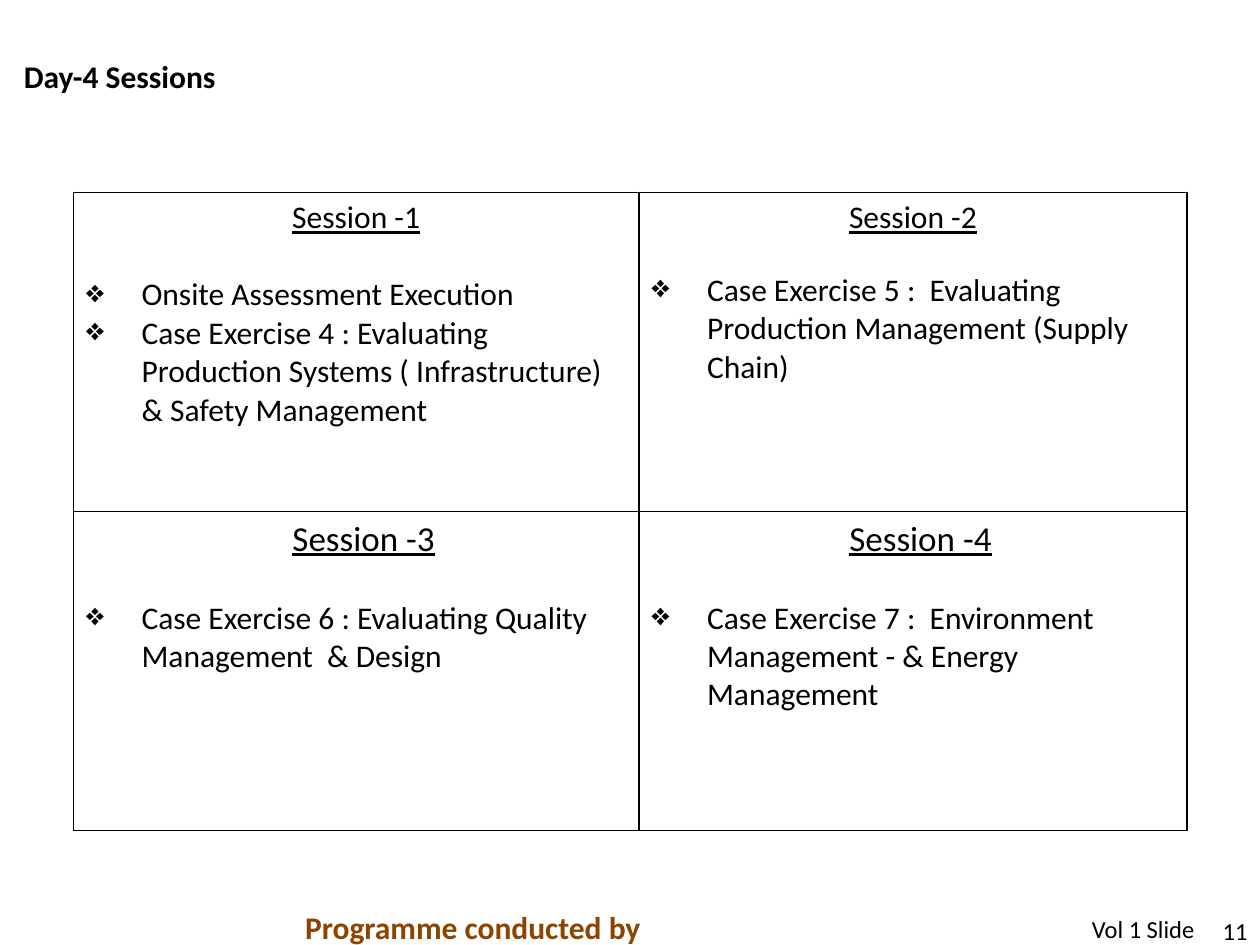
import pptx
import pptx.util
import pptx.dml.color
import pptx.enum.text
import pptx.oxml
import pptx.oxml.ns
from pptx.util import Cm, Pt

COLORS = {"ink": "000000", "brown": "8D4400"}
ALIGN = pptx.enum.text.PP_ALIGN
ANCHOR = pptx.enum.text.MSO_ANCHOR
NAMESPACE = pptx.oxml.ns.nsdecls("a")

SESSIONS = [
    [
        ("Session -1", 22, [
            "Onsite Assessment Execution",
            "Case Exercise 4 : Evaluating Production Systems ( Infrastructure) & Safety Management",
        ]),
        ("Session -2", 19.5, [
            "Case Exercise 5 :  Evaluating Production Management (Supply Chain)",
        ]),
    ],
    [
        ("Session -3", 22, [
            "Case Exercise 6 : Evaluating Quality Management  & Design",
        ]),
        ("Session -4", 22, [
            "Case Exercise 7 :  Environment  Management - & Energy Management",
        ]),
    ],
]
HEADINGS = [{"size": 18, "indent": 0}, {"size": 20, "indent": 0.3}]


def write(para, text, size=18, color="ink", bold=False, underline=False,
          align=ALIGN.LEFT, before=0, indent=0, bullet=None):
    properties = para._p.get_or_add_pPr()
    properties.set("marL", str(Cm(indent)))
    para.alignment = align
    para.space_before = Pt(before)
    if bullet:
        properties.set("indent", str(-Cm(indent)))
        properties.append(pptx.oxml.parse_xml(f'<a:buChar {NAMESPACE} char="{bullet}"/>'))
    span = para.add_run()
    span.text = text
    span.font.name = "Calibri"
    span.font.size = Pt(size)
    span.font.bold = bold
    span.font.underline = underline
    span.font.color.rgb = pptx.dml.color.RGBColor.from_string(COLORS[color])


class SlideBuilder:
    def __init__(self, page):
        self.page = page

    def text(self, text, left, top, width, height, inset=True, anchor=ANCHOR.TOP, **style):
        box = self.page.shapes.add_textbox(Cm(left), Cm(top), Cm(width), Cm(height))
        frame = box.text_frame
        frame.word_wrap = True
        frame.vertical_anchor = anchor
        if not inset:
            frame.margin_left = frame.margin_right = 0
            frame.margin_top = frame.margin_bottom = 0
        write(frame.paragraphs[0], text, **style)

    def border(self, cell):
        properties = cell._tc.get_or_add_tcPr()
        for position, side in enumerate("LRTB"):
            properties.insert(position, pptx.oxml.parse_xml(
                f'<a:ln{side} {NAMESPACE} w="{Pt(1)}"><a:solidFill>'
                f'<a:srgbClr val="{COLORS["ink"]}"/></a:solidFill></a:ln{side}>'))

    def session(self, cell, heading, gap, topics, style):
        cell.fill.background()
        self.border(cell)
        frame = cell.text_frame
        write(frame.paragraphs[0], heading, underline=True, align=ALIGN.CENTER, **style)
        for number, topic in enumerate(topics):
            write(frame.add_paragraph(), topic, before=0 if number else gap,
                  indent=1.12, bullet="❖")

    def table(self, sessions, left, top, widths, row_height):
        frame = self.page.shapes.add_table(
            len(sessions), len(widths), Cm(left), Cm(top),
            Cm(sum(widths)), Cm(row_height * len(sessions)))
        grid = frame.table
        grid.first_row = grid.horz_banding = False
        for column, width in zip(grid.columns, widths):
            column.width = Cm(width)
        for row, entries, style in zip(grid.rows, sessions, HEADINGS):
            row.height = Cm(row_height)
            for cell, entry in zip(row.cells, entries):
                self.session(cell, *entry, style)


def main():
    deck = pptx.Presentation()
    deck.slide_width, deck.slide_height = Cm(25.4), Cm(19.05)
    builder = SlideBuilder(deck.slides.add_slide(deck.slide_layouts[6]))
    builder.text("11", 24.41, 18.46, 0.74, 0.6, inset=False,
                 anchor=ANCHOR.BOTTOM, size=14, align=ALIGN.RIGHT)
    builder.text("Programme conducted by", 5.9, 18.18, 7.35, 1.02, color="brown", bold=True)
    builder.text("Vol 1 Slide", 21.76, 18.31, 2.63, 0.86, size=14)
    builder.text("Day-4 Sessions", 0.48, 1.14, 19.43, 0.77, inset=False,
                 anchor=ANCHOR.BOTTOM, bold=True)
    builder.table(SESSIONS, 1.48, 3.88, [11.4, 11.05], 6.43)
    deck.save("out.pptx")


if __name__ == "__main__":
    main()
